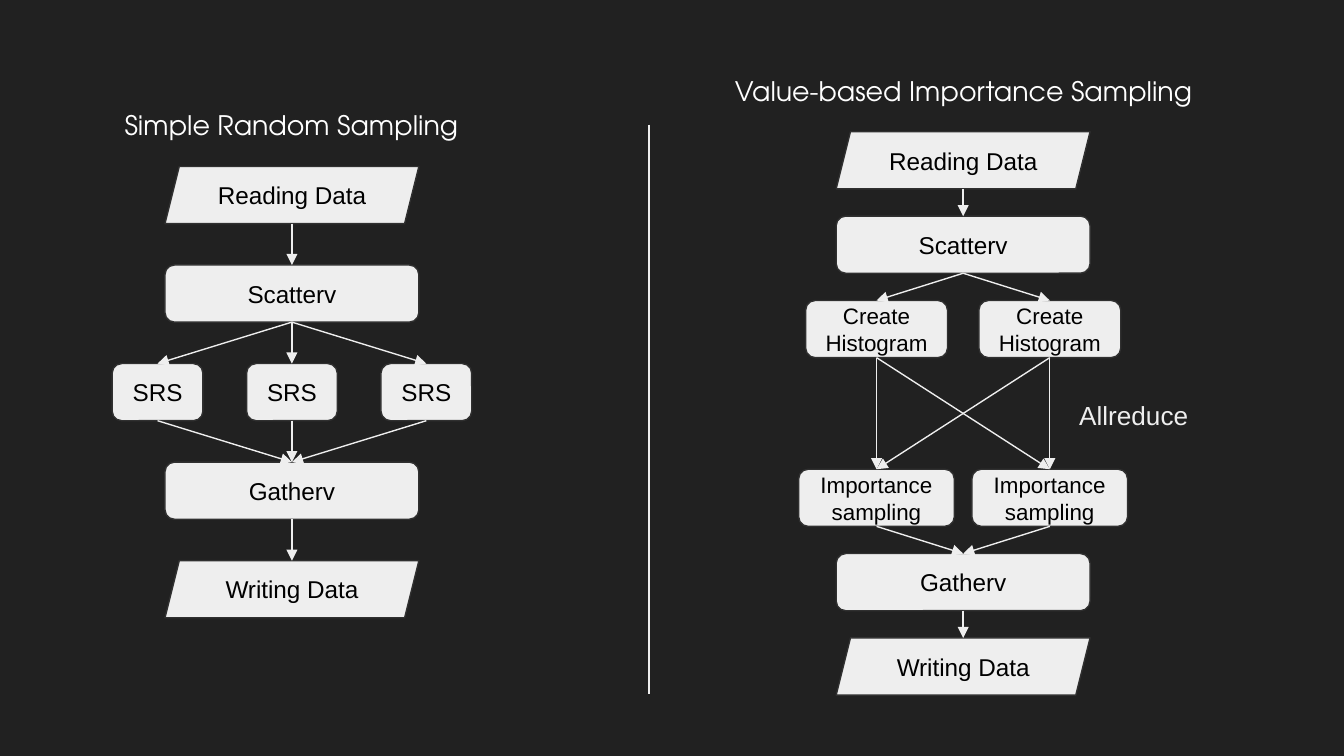
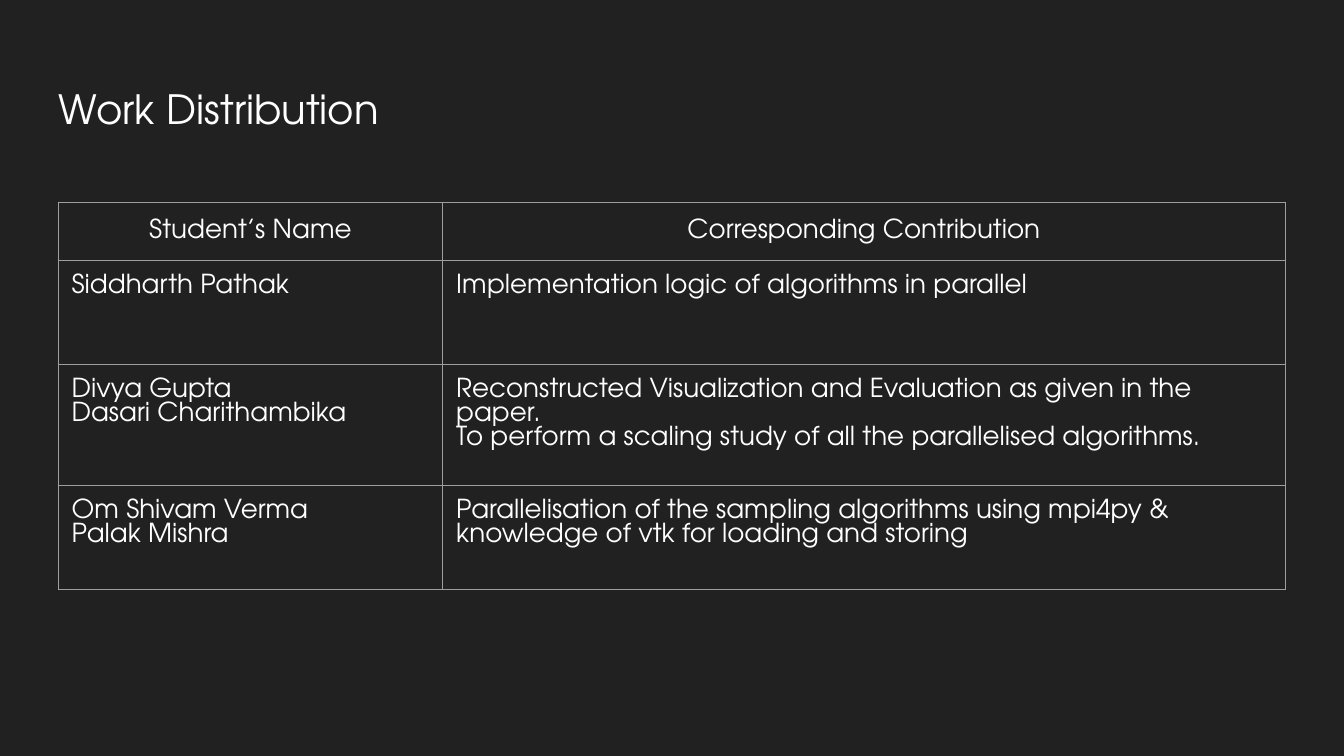
from itertools import product

from lxml.etree import SubElement
from pptx import Presentation
from pptx.dml.color import RGBColor
from pptx.enum.shapes import MSO_CONNECTOR, MSO_SHAPE as Preset
from pptx.enum.text import MSO_ANCHOR as Anchor, PP_ALIGN as Align
from pptx.oxml.ns import qn
from pptx.util import Pt

BACKGROUND, WHITE, BLACK = "212121", "FFFFFF", "000000"
LIGHT, OUTLINE, GRID = "EEEEEE", "303030", "9E9E9E"
TITLE_FONT, BODY_FONT = "TeX Gyre Adventor", "Arial"
INSET = 7.2
BOX_HEIGHT = 30.6
WIDE = 136


def colour(value):
    return RGBColor.from_string(value)


def add_page(deck):
    page = deck.slides.add_slide(deck.slide_layouts[6])
    page.background.fill.solid()
    page.background.fill.fore_color.rgb = colour(BACKGROUND)
    return page


def set_margins(target):
    """Give a text frame or a table cell the same margin on all sides."""
    target.margin_left = target.margin_right = Pt(INSET)
    target.margin_top = target.margin_bottom = Pt(INSET)


def write(frame, lines, size, ink, font=BODY_FONT, align=Align.CENTER):
    """Write each line as a paragraph of its own."""
    for index, line in enumerate(lines):
        para = frame.paragraphs[0] if index == 0 else frame.add_paragraph()
        para.alignment = align
        span = para.add_run()
        span.text = line
        span.font.size = Pt(size)
        span.font.name = font
        span.font.color.rgb = colour(ink)


def prepare_frame(shape, anchor):
    frame = shape.text_frame
    frame.word_wrap = True
    frame.vertical_anchor = anchor
    set_margins(frame)
    return frame


def add_text(page, text, left, top, width, height, size, ink,
             font=TITLE_FONT, align=Align.CENTER, anchor=Anchor.TOP):
    box = page.shapes.add_textbox(Pt(left), Pt(top), Pt(width), Pt(height))
    write(prepare_frame(box, anchor), [text], size, ink, font, align)


def add_step(page, preset, lines, centre, top, width):
    box = page.shapes.add_shape(preset, Pt(centre - width / 2), Pt(top),
                                Pt(width), Pt(BOX_HEIGHT))
    box.shadow.inherit = False
    box.fill.solid()
    box.fill.fore_color.rgb = colour(LIGHT)
    box.line.color.rgb = colour(OUTLINE)
    box.line.width = Pt(0.75)
    size = 13 if len(lines) == 1 else 12
    write(prepare_frame(box, Anchor.MIDDLE), lines, size, BLACK)


def add_line(page, start, end, arrow=False):
    line = page.shapes.add_connector(
        MSO_CONNECTOR.STRAIGHT, *(Pt(value) for value in (*start, *end)))
    line.line.color.rgb = colour(LIGHT)
    line.line.width = Pt(0.75)
    properties = line._element.spPr
    if arrow:
        SubElement(properties.find(qn("a:ln")), qn("a:tailEnd"), type="triangle")
    SubElement(properties, qn("a:effectLst"))


def add_flow(page, centre, top, pitch, levels):
    """Draw levels of equal steps, each step leading to all of the next level.

    A level holds its row, preset, text lines, box width, count and spacing.
    """
    exits = []
    for row, preset, lines, width, count, spacing in levels:
        level_top = top + row * pitch
        centres = [centre + (index - (count - 1) / 2) * spacing
                   for index in range(count)]
        for x in centres:
            add_step(page, preset, lines, x, level_top, width)
        for start, x in product(exits, centres):
            add_line(page, start, (x, level_top), arrow=True)
        exits = [(x, level_top + BOX_HEIGHT) for x in centres]


def data_level(row, text):
    return row, Preset.PARALLELOGRAM, [text], WIDE, 1, 0


def process_level(row, lines, width=WIDE, count=1, spacing=0):
    return row, Preset.ROUNDED_RECTANGLE, lines, width, count, spacing


def style_cell(cell):
    set_margins(cell)
    properties = cell._tc.get_or_add_tcPr()
    for side in ("lnL", "lnR", "lnT", "lnB"):
        border = SubElement(properties, qn(f"a:{side}"), w=str(Pt(0.75)))
        fill = SubElement(border, qn("a:solidFill"))
        SubElement(fill, qn("a:srgbClr"), val=GRID)
    cell.fill.background()


def add_grid(page, left, top, widths, heights, rows):
    grid = page.shapes.add_table(len(rows), len(widths), Pt(left), Pt(top),
                                 Pt(sum(widths)), Pt(sum(heights))).table
    grid.first_row = grid.horz_banding = False
    for column, width in zip(grid.columns, widths):
        column.width = Pt(width)
    for index, (row, height, texts) in enumerate(zip(grid.rows, heights, rows)):
        row.height = Pt(height)
        header = index == 0
        for cell, lines in zip(row.cells, texts):
            style_cell(cell)
            cell.vertical_anchor = Anchor.MIDDLE if header else Anchor.TOP
            write(cell.text_frame, lines, 14, WHITE, TITLE_FONT,
                  Align.CENTER if header else Align.LEFT)


def add_sampling_page(deck):
    page = add_page(deck)
    add_text(page, "Simple Random Sampling", 55.6, 51.2, 201, 31, 14.4, WHITE)
    add_flow(page, 156.4, 89.2, 52.8, [
        data_level(0, "Reading Data"),
        process_level(1, ["Scatterv"]),
        process_level(2, ["SRS"], 48.6, 3, 72),
        process_level(3, ["Gatherv"]),
        data_level(4, "Writing Data"),
    ])
    add_line(page, (347.6, 66.8), (347.6, 371.8))
    add_text(page, "Value-based Importance Sampling",
             343.4, 32.6, 345.6, 31, 14.4, WHITE)
    add_flow(page, 516, 70.6, 45.2, [
        data_level(0, "Reading Data"),
        process_level(1, ["Scatterv"]),
        process_level(2, ["Create", "Histogram"], 76, 2, 92.8),
        process_level(4, ["Importance", "sampling"], 83.4, 2, 92.8),
        process_level(5, ["Gatherv"]),
        data_level(6, "Writing Data"),
    ])
    add_text(page, "Allreduce", 571, 206.8, 97.2, 31, 14, LIGHT,
             BODY_FONT, Align.LEFT, Anchor.MIDDLE)


def add_work_page(deck):
    page = add_page(deck)
    add_text(page, "Work Distribution", 24.5, 38, 671, 45, 21.6, WHITE,
             align=Align.LEFT)
    add_grid(page, 31.2, 108.4, [206, 451.4], [27, 55.7, 55.7, 55.7], [
        (["Student’s Name"], ["Corresponding Contribution"]),
        (["Siddharth Pathak"],
         ["Implementation logic of algorithms in parallel"]),
        (["Divya Gupta", "Dasari Charithambika"],
         ["Reconstructed Visualization and Evaluation as given in the paper.",
          "To perform a scaling study of all the parallelised algorithms."]),
        (["Om Shivam Verma", "Palak Mishra"],
         ["Parallelisation of the sampling algorithms using mpi4py & "
          "knowledge of vtk for loading and storing"]),
    ])


def main():
    deck = Presentation()
    deck.slide_width, deck.slide_height = Pt(720), Pt(405)
    add_sampling_page(deck)
    add_work_page(deck)
    deck.save("out.pptx")


if __name__ == "__main__":
    main()
